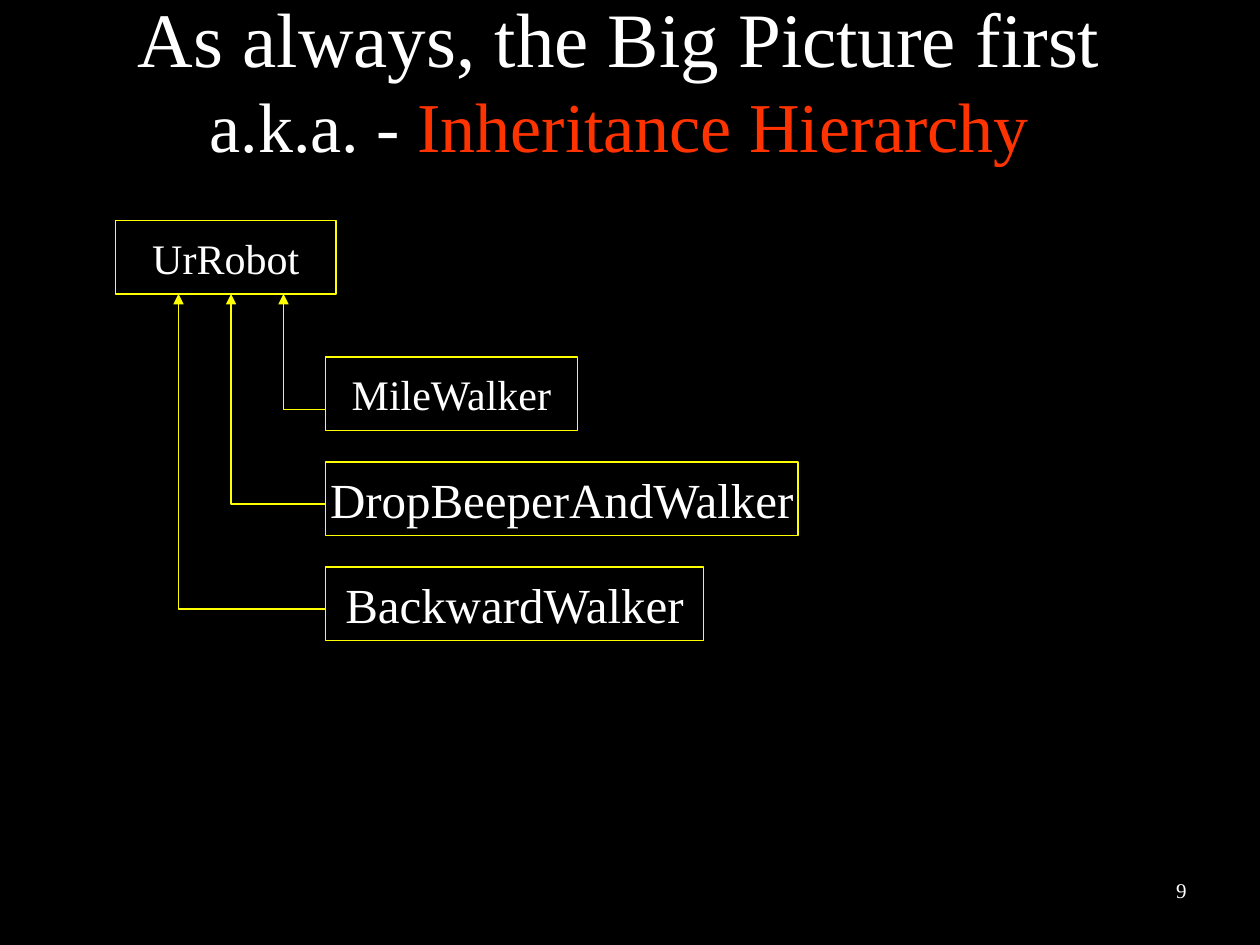
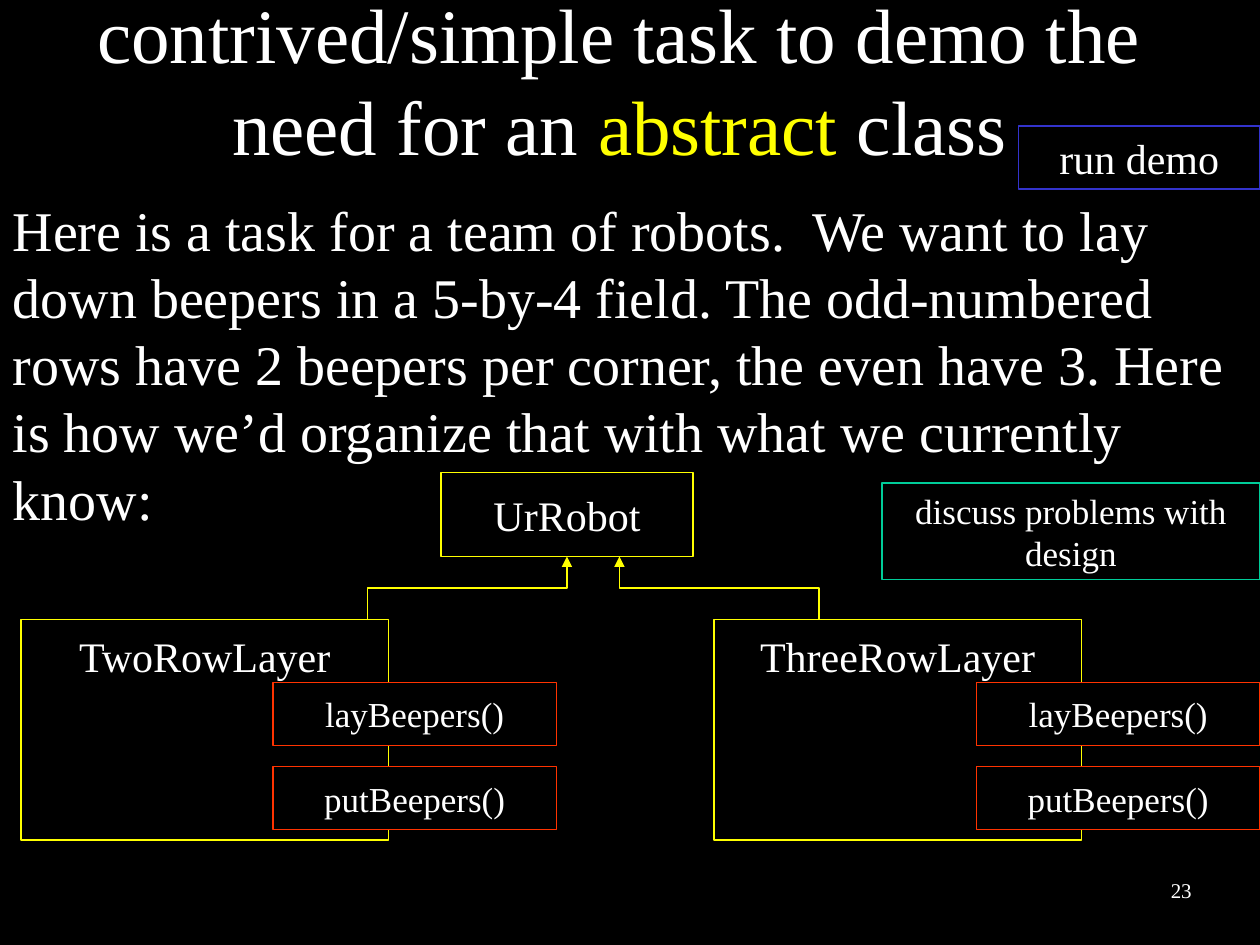
from dataclasses import dataclass

from lxml import etree
from pptx import Presentation
from pptx.dml.color import RGBColor
from pptx.enum.shapes import MSO_SHAPE
from pptx.enum.text import MSO_ANCHOR, MSO_AUTO_SIZE, PP_ALIGN
from pptx.oxml.ns import qn
from pptx.shapes.autoshape import Shape
from pptx.slide import Slide
from pptx.text.text import Font, TextFrame
from pptx.util import Pt

RECTANGLE = MSO_SHAPE.RECTANGLE
TOP, MIDDLE = MSO_ANCHOR.TOP, MSO_ANCHOR.MIDDLE
LEFT, CENTER = PP_ALIGN.LEFT, PP_ALIGN.CENTER
NO_AUTOFIT = MSO_AUTO_SIZE.NONE

EMU_PER_PX = 7620
SLIDE_WIDTH, SLIDE_HEIGHT = 1200, 900
TITLE_ONLY_LAYOUT, TITLE_AND_BODY_LAYOUT = 5, 1


@dataclass(frozen=True)
class Theme:
    font: str = "Times New Roman"
    background: RGBColor = RGBColor(0x00, 0x00, 0x00)
    text: RGBColor = RGBColor(0xFF, 0xFF, 0xFF)
    yellow: RGBColor = RGBColor(0xFF, 0xFF, 0x00)
    red: RGBColor = RGBColor(0xFF, 0x33, 0x00)
    green: RGBColor = RGBColor(0x00, 0xCC, 0x99)
    blue: RGBColor = RGBColor(0x33, 0x33, 0xCC)
    title_size: int = 44
    subtitle_size: int = 40
    body_size: int = 32
    large_label_size: int = 28
    label_size: int = 24
    small_label_size: int = 20
    page_number_size: int = 12
    line_width: float = 0.75


THEME = Theme()


@dataclass(frozen=True)
class Area:
    left: int
    top: int
    width: int
    height: int

    def emu(self) -> tuple[int, int, int, int]:
        return (px(self.left), px(self.top), px(self.width), px(self.height))


@dataclass(frozen=True)
class TitlePart:
    text: str
    size: int = THEME.title_size
    color: RGBColor = THEME.text


@dataclass(frozen=True)
class Box:
    text: str
    area: Area
    size: int = THEME.label_size
    line: RGBColor = THEME.yellow
    filled: bool = True
    wrap: bool = False
    anchor: MSO_ANCHOR = MIDDLE
    margin_top: int = 6


@dataclass(frozen=True)
class InheritanceArrow:
    points: tuple[tuple[int, int], ...]


TITLE_AREA = Area(80, 0, 1020, 150)
BODY_AREA = Area(0, 180, 1200, 340)
PAGE_NUMBER_AREA = Area(1080, 830, 90, 36)


def px(length: int) -> int:
    return length * EMU_PER_PX


def style_font(font: Font, size: int, color: RGBColor = THEME.text) -> None:
    font.name = THEME.font
    font.size = Pt(size)
    font.color.rgb = color


def format_frame(frame: TextFrame, anchor: MSO_ANCHOR, wrap: bool = True,
                 margin_top: int = 6) -> None:
    frame.auto_size = NO_AUTOFIT
    frame.word_wrap = wrap
    frame.vertical_anchor = anchor
    frame.margin_left = frame.margin_right = px(12)
    frame.margin_top, frame.margin_bottom = px(margin_top), px(6)


def write_text(frame: TextFrame, text: str, size: int, alignment: PP_ALIGN = CENTER) -> None:
    paragraph = frame.paragraphs[0]
    paragraph.text = text
    paragraph.alignment = alignment
    paragraph.space_before = Pt(0)
    style_font(paragraph.font, size)


def place(shape: Shape, area: Area) -> None:
    shape.left, shape.top, shape.width, shape.height = area.emu()


def draw_title(slide: Slide, lines: list[list[TitlePart]]) -> None:
    title = slide.shapes.title
    place(title, TITLE_AREA)
    format_frame(title.text_frame, MIDDLE)
    paragraph = title.text_frame.paragraphs[0]
    paragraph.alignment = CENTER
    for index, parts in enumerate(lines):
        if index:
            paragraph.add_line_break()
        for part in parts:
            run = paragraph.add_run()
            run.text = part.text
            style_font(run.font, part.size, part.color)


def draw_body(slide: Slide, text: str) -> None:
    body = slide.placeholders[1]
    place(body, BODY_AREA)
    format_frame(body.text_frame, TOP)
    properties = body.text_frame.paragraphs[0]._p.get_or_add_pPr()
    properties.set("marL", "0")
    properties.set("indent", "0")
    etree.SubElement(properties, qn("a:buNone"))
    write_text(body.text_frame, text, THEME.body_size, LEFT)


def draw_page_number(slide: Slide, number: int) -> None:
    text_box = slide.shapes.add_textbox(*PAGE_NUMBER_AREA.emu())
    format_frame(text_box.text_frame, TOP)
    write_text(text_box.text_frame, str(number), THEME.page_number_size)


def style_line(shape: Shape, color: RGBColor) -> None:
    shape.shadow.inherit = False
    shape.line.color.rgb = color
    shape.line.width = Pt(THEME.line_width)


def draw_box(slide: Slide, box: Box) -> None:
    shape = slide.shapes.add_shape(RECTANGLE, *box.area.emu())
    style_line(shape, box.line)
    if box.filled:
        shape.fill.solid()
        shape.fill.fore_color.rgb = THEME.background
    else:
        shape.fill.background()
    format_frame(shape.text_frame, box.anchor, box.wrap, box.margin_top)
    write_text(shape.text_frame, box.text, box.size)


def draw_arrow(slide: Slide, arrow: InheritanceArrow) -> None:
    start, *others = arrow.points
    builder = slide.shapes.build_freeform(*start, scale=EMU_PER_PX)
    builder.add_line_segments(others, close=False)
    shape = builder.convert_to_shape()
    shape.fill.background()
    style_line(shape, THEME.yellow)
    etree.SubElement(shape.line._get_or_add_ln(), qn("a:headEnd"), type="triangle")


def draw_diagram(slide: Slide, items: list[Box | InheritanceArrow]) -> None:
    for item in items:
        if isinstance(item, Box):
            draw_box(slide, item)
        else:
            draw_arrow(slide, item)


def hierarchy_items() -> list[Box | InheritanceArrow]:
    parent = Area(110, 210, 210, 70)
    parent_bottom = parent.top + parent.height
    child_left = 310
    children = [
        ("MileWalker", 240, THEME.label_size, 270, 390),
        ("DropBeeperAndWalker", 450, THEME.large_label_size, 220, 480),
        ("BackwardWalker", 360, THEME.large_label_size, 170, 580),
    ]
    items: list[Box | InheritanceArrow] = [Box("UrRobot", parent)]
    for row, (name, width, size, arrow_x, arrow_y) in enumerate(children):
        items.append(Box(name, Area(child_left, 340 + 100 * row, width, 70), size))
        items.append(InheritanceArrow(
            ((arrow_x, parent_bottom), (arrow_x, arrow_y), (child_left, arrow_y))))
    return items


def layer_items() -> list[Box | InheritanceArrow]:
    parent = Area(420, 450, 240, 80)
    parent_bottom = parent.top + parent.height
    layer_top, bend_y = 590, 560
    layers = [("TwoRowLayer", 20, 260, 540, 350), ("ThreeRowLayer", 680, 930, 590, 780)]
    items: list[Box | InheritanceArrow] = [Box("UrRobot", parent)]
    for name, left, method_left, head_x, tail_x in layers:
        items.append(Box(name, Area(left, layer_top, 350, 210), anchor=TOP, margin_top=10))
        items.append(InheritanceArrow(
            ((head_x, parent_bottom), (head_x, bend_y), (tail_x, bend_y), (tail_x, layer_top))))
        for row, method in enumerate(("layBeepers()", "putBeepers()")):
            items.append(Box(method, Area(method_left, 650 + 80 * row, 270, 60),
                             THEME.small_label_size, THEME.red))
    items.append(Box("discuss problems with design", Area(840, 460, 360, 92),
                     THEME.small_label_size, THEME.green, filled=False, wrap=True, anchor=TOP))
    items.append(Box("run demo", Area(970, 120, 230, 60),
                     line=THEME.blue, filled=False, wrap=True, anchor=TOP))
    return items


def main() -> None:
    presentation = Presentation()
    presentation.slide_width, presentation.slide_height = px(SLIDE_WIDTH), px(SLIDE_HEIGHT)
    background = presentation.slide_master.background.fill
    background.solid()
    background.fore_color.rgb = THEME.background
    layouts = presentation.slide_layouts

    hierarchy = presentation.slides.add_slide(layouts[TITLE_ONLY_LAYOUT])
    draw_title(hierarchy, [
        [TitlePart("As always, the Big Picture first")],
        [TitlePart("a.k.a. - ", THEME.subtitle_size),
         TitlePart("Inheritance Hierarchy", THEME.subtitle_size, THEME.red)],
    ])
    draw_page_number(hierarchy, 9)
    draw_diagram(hierarchy, hierarchy_items())

    abstract_demo = presentation.slides.add_slide(layouts[TITLE_AND_BODY_LAYOUT])
    draw_title(abstract_demo, [[
        TitlePart("contrived/simple task to demo the need for an "),
        TitlePart("abstract", color=THEME.yellow),
        TitlePart(" class"),
    ]])
    draw_body(abstract_demo, (
        "Here is a task for a team of robots.  We want to lay down beepers in a 5-by-4 field. "
        "The odd-numbered rows have 2 beepers per corner, the even have 3. "
        "Here is how we’d organize that with what we currently know:"))
    draw_page_number(abstract_demo, 23)
    draw_diagram(abstract_demo, layer_items())

    presentation.save("out.pptx")


if __name__ == "__main__":
    main()
